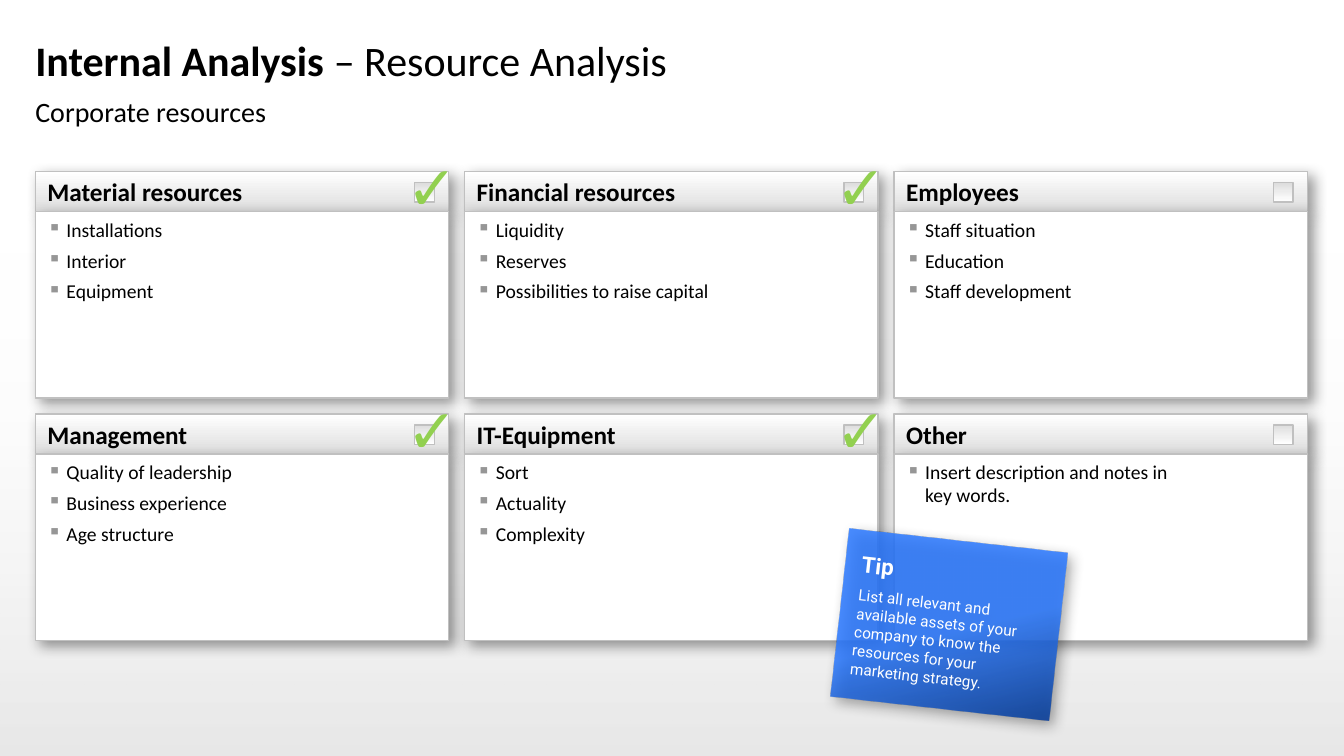
"""Build the resource analysis slide: six checklist cards and a tip note."""
from dataclasses import dataclass

from pptx import Presentation, oxml, util as u
from pptx.dml.color import RGBColor
from pptx.enum import shapes, text
from pptx.oxml.ns import nsdecls, qn

Pt = u.Pt


@dataclass(frozen=True)
class Theme:
    font: str = "Calibri"
    tip_font: str = "Roboto"
    black: str = "000000"
    white: str = "FFFFFF"
    border: str = "C0C0C0"
    bullet: str = "969696"
    green: str = "92D050"
    title: int = 30
    subtitle: int = 20
    heading: int = 18
    item: int = 14
    mark: int = 44
    tip_heading: int = 16
    tip: int = 11
    silver: tuple = ((0, "FFFFFF", 100), (100, "DDDDDD", 100))
    haze: tuple = ((0, "000000", 10), (100, "FFFFFF", 0))
    blue: tuple = ((0, "2A79FF", 85), (53, "2A79FF", 85), (100, "003794", 85))


theme = Theme()


def add_panel(bounds, stops=None, angle=90, border=True, shadow=False):
    """Add a rectangle with a white or gradient fill."""
    panel = slide.shapes.add_shape(shapes.MSO_SHAPE.RECTANGLE, *map(Pt, bounds))
    panel.shadow.inherit = False
    properties = panel.element.spPr
    if stops:
        panel.fill.background()
        colours = "".join(
            f'<a:gs pos="{pos * 1000}"><a:srgbClr val="{colour}">'
            f'<a:alpha val="{alpha * 1000}"/></a:srgbClr></a:gs>'
            for pos, colour, alpha in stops)
        properties.replace(properties.find(qn("a:noFill")), oxml.parse_xml(
            f'<a:gradFill {nsdecls("a")} rotWithShape="1"><a:gsLst>{colours}</a:gsLst>'
            f'<a:lin ang="{angle * 60000}" scaled="0"/></a:gradFill>'))
    else:
        panel.fill.solid()
        panel.fill.fore_color.rgb = RGBColor.from_string(theme.white)
    if border:
        panel.line.color.rgb = RGBColor.from_string(theme.border)
        panel.line.width = Pt(1)
    else:
        panel.line.fill.background()
    if shadow:
        properties.find(qn("a:effectLst")).append(oxml.parse_xml(
            f'<a:outerShdw {nsdecls("a")} blurRad="{Pt(10)}" dist="{Pt(5)}" dir="2700000" '
            f'algn="tl" rotWithShape="0"><a:srgbClr val="{theme.black}">'
            '<a:alpha val="40000"/></a:srgbClr></a:outerShdw>'))
    return panel


def write(shape, lines, styles, insets=(0, 0, 0, 0), anchor=text.MSO_ANCHOR.TOP, wrap=True):
    """Fill a shape with left-aligned paragraphs, one (size, bold, colour, font) each."""
    frame = shape.text_frame
    frame.text = "\n".join(lines)
    frame.word_wrap = wrap
    frame.vertical_anchor = anchor
    frame.margin_left, frame.margin_top, frame.margin_right, frame.margin_bottom = map(Pt, insets)
    for paragraph, (size, bold, colour, font) in zip(frame.paragraphs, styles):
        paragraph.alignment = text.PP_ALIGN.LEFT
        for run in paragraph.runs:
            run.font.size, run.font.bold, run.font.name = Pt(size), bold, font
            run.font.color.rgb = RGBColor.from_string(colour)
    return frame


presentation = Presentation()
presentation.slide_width, presentation.slide_height = Pt(960), Pt(540)
slide = presentation.slides.add_slide(presentation.slide_layouts[5])

add_panel((0, 159, 960, 381), theme.haze, 270, border=False)

title = slide.shapes.title
title.left, title.top, title.width, title.height = map(Pt, (25.2, 18.7, 908.6, 48.2))
heading = write(title, ["Internal Analysis "], [(theme.title, True, theme.black, theme.font)],
                anchor=text.MSO_ANCHOR.MIDDLE)
topic = heading.paragraphs[0].add_run()
topic.text = "– Resource Analysis"
topic.font.size, topic.font.bold, topic.font.name = Pt(theme.title), False, theme.font
topic.font.color.rgb = RGBColor.from_string(theme.black)

subtitle = slide.shapes.add_textbox(*map(Pt, (25.2, 67.7, 908.6, 26.6)))
write(subtitle, ["Corporate resources"], [(theme.subtitle, False, theme.black, theme.font)])

cards = [
    ("Material resources", ["Installations", "Interior", "Equipment"], True),
    ("Financial resources", ["Liquidity", "Reserves", "Possibilities to raise capital"], True),
    ("Employees", ["Staff situation", "Education", "Staff development"], False),
    ("Management", ["Quality of leadership", "Business experience", "Age structure"], True),
    ("IT-Equipment", ["Sort", "Actuality", "Complexity"], True),
    ("Other", ["Insert description and notes in\vkey words."], False),
]
card_width, header_height, body_height = 295.4, 28.4, 133.2

for index, (name, resources, checked) in enumerate(cards):
    row, column = divmod(index, 3)
    left, top = 25.2 + column * 306.7, 122.6 + row * 173.2

    header = add_panel((left, top, card_width, header_height), theme.silver, shadow=True)
    write(header, [name], [(theme.heading, True, theme.black, theme.font)],
          (8.6, 0, 0, 0), text.MSO_ANCHOR.MIDDLE)

    body = add_panel((left, top + header_height, card_width, body_height), shadow=True)
    items = write(body, resources, [(theme.item, False, theme.black, theme.font)] * len(resources),
                  (8.6, 5.7, 8.6, 5.7))
    for item in items.paragraphs:
        bullet = item._p.get_or_add_pPr()
        bullet.set("marL", str(Pt(13.7)))
        bullet.set("indent", str(Pt(-13.7)))
        bullet.append(oxml.parse_xml(
            f'<a:buClr {nsdecls("a")}><a:srgbClr val="{theme.bullet}"/></a:buClr>'))
        bullet.append(oxml.parse_xml(f'<a:buChar {nsdecls("a")} char="▪"/>'))
        item.line_spacing = 0.95
        item.space_after = Pt(6)

    add_panel((left + 271.1, top + 7.7, 14, 14), theme.silver, 270)
    if checked:
        mark = slide.shapes.add_textbox(*map(Pt, (left + 265.2, top - 16.2, 38.2, 53.3)))
        tick = write(mark, ["✓"], [(theme.mark, True, theme.green, theme.font)], wrap=False)
        tick.auto_size = text.MSO_AUTO_SIZE.SHAPE_TO_FIT_TEXT
        glyph = tick.paragraphs[0].runs[0].font._rPr
        glyph.set("spc", "300")
        glyph.insert(0, oxml.parse_xml(
            f'<a:ln {nsdecls("a")} w="{Pt(0.9)}"><a:solidFill>'
            f'<a:srgbClr val="{theme.white}"/></a:solidFill></a:ln>'))

tip = add_panel((599.8, 385.9, 156.2, 120.2), theme.blue, 70, border=False, shadow=True)
tip.rotation = 6.4
advice = write(
    tip,
    ["Tip", "List all relevant and available assets of your company to know the "
            "resources for your marketing strategy."],
    [(theme.tip_heading, True, theme.white, theme.tip_font),
     (theme.tip, False, theme.white, theme.tip_font)],
    (11.5, 14.4, 5.8, 3.6))
for paragraph in advice.paragraphs:
    paragraph.space_after = Pt(6)

presentation.save("out.pptx")
